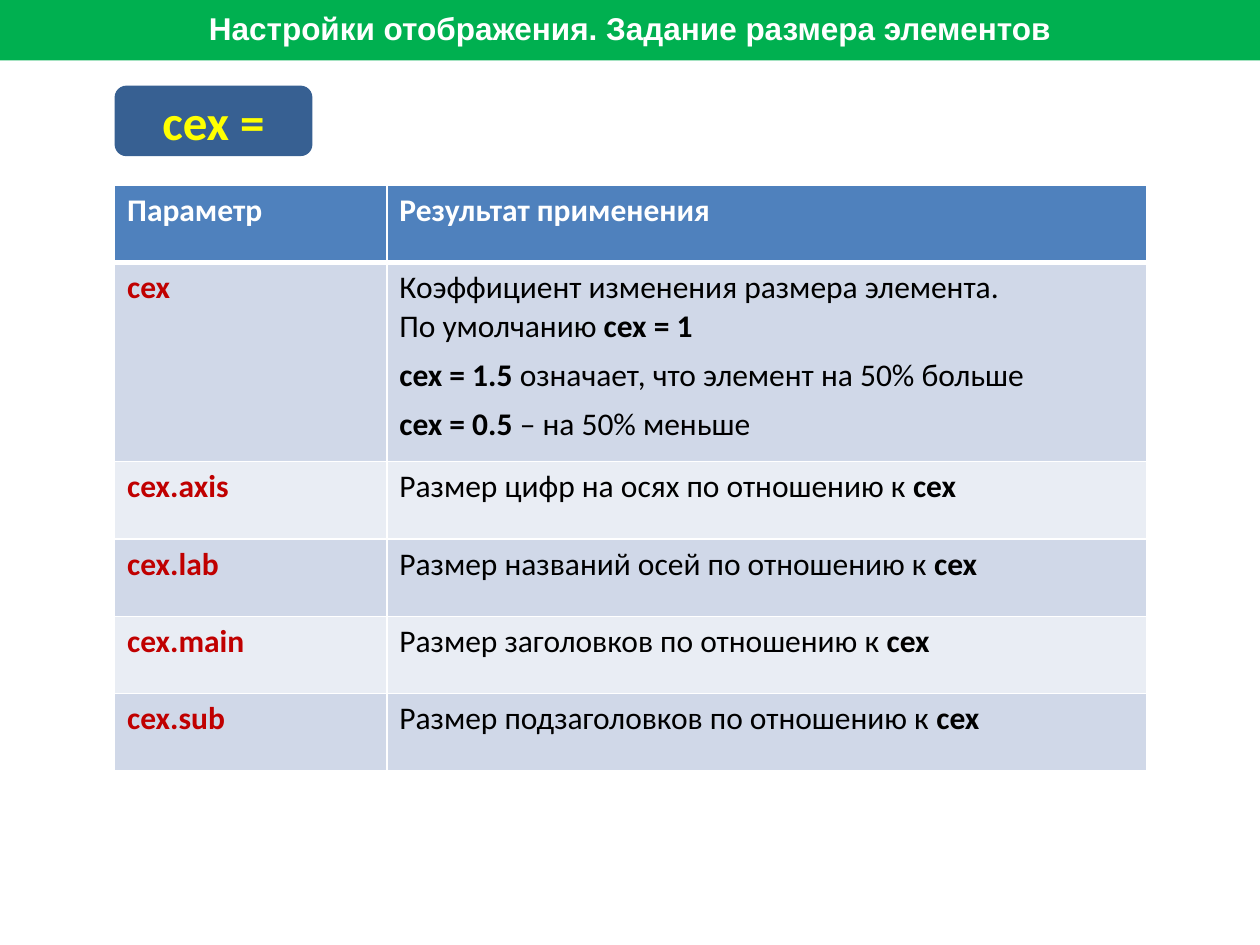
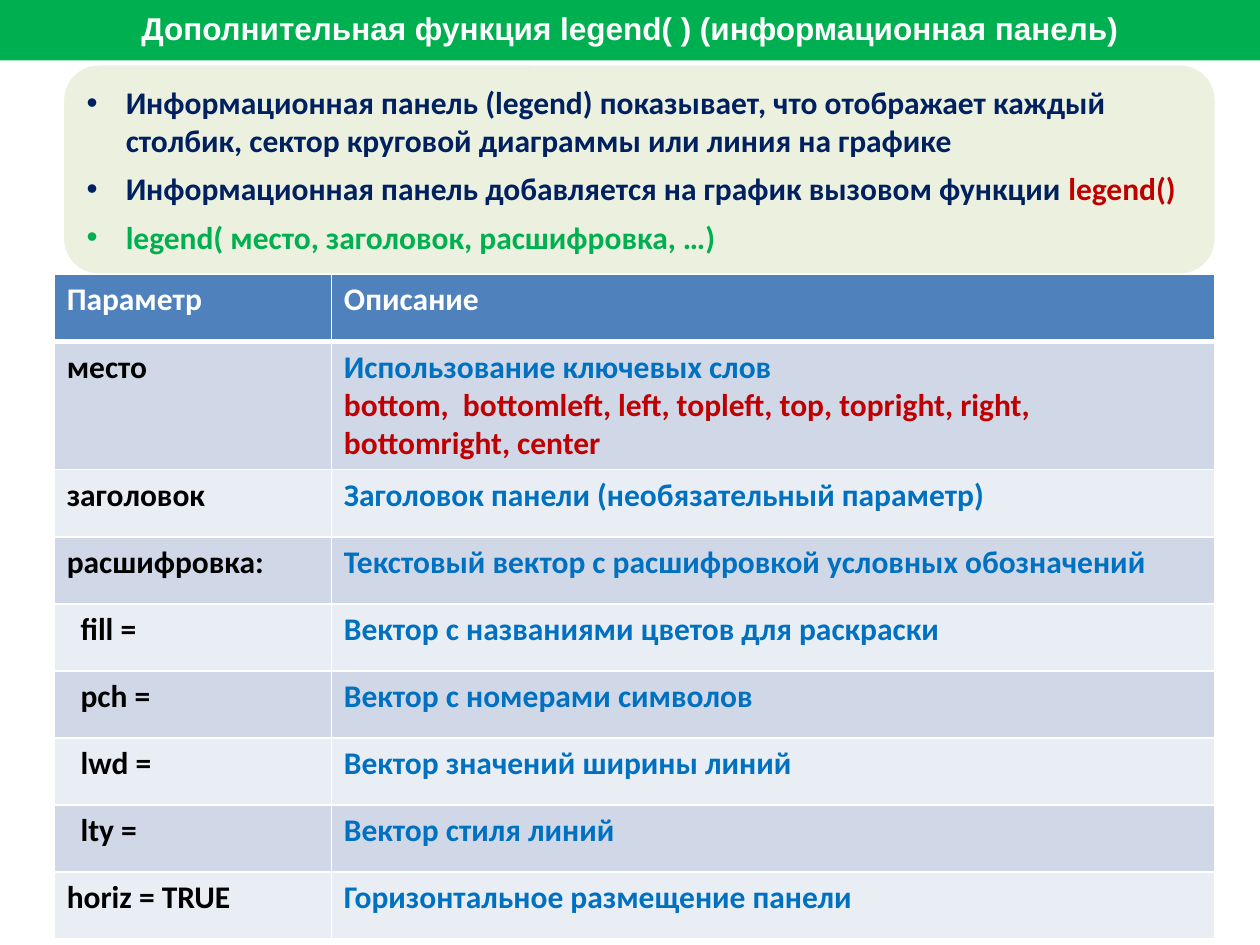
from lxml import etree
from pptx import Presentation
from pptx.dml.color import RGBColor
from pptx.enum.shapes import MSO_SHAPE
from pptx.enum.text import MSO_ANCHOR, PP_ALIGN
from pptx.oxml.ns import qn
from pptx.util import Inches, Pt

RECT, ROUND_RECT = MSO_SHAPE.RECTANGLE, MSO_SHAPE.ROUNDED_RECTANGLE
MIDDLE, CENTER, LEFT = MSO_ANCHOR.MIDDLE, PP_ALIGN.CENTER, PP_ALIGN.LEFT

WHITE = RGBColor(0xFF, 0xFF, 0xFF)
BLACK = RGBColor(0x00, 0x00, 0x00)
GREEN = RGBColor(0x00, 0xB0, 0x50)
RED = RGBColor(0xC0, 0x00, 0x00)
BLUE = RGBColor(0x00, 0x70, 0xC0)
NAVY = RGBColor(0x00, 0x20, 0x60)
YELLOW = RGBColor(0xFF, 0xFF, 0x00)
BADGE_BLUE = RGBColor(0x37, 0x60, 0x92)
PALE_GREEN = RGBColor(0xEB, 0xF1, 0xDE)
HEADER_BLUE = RGBColor(0x4F, 0x81, 0xBD)
BANDS = RGBColor(0xD0, 0xD8, 0xE8), RGBColor(0xE9, 0xED, 0xF4)

TITLE_FONT, BODY_FONT = "Arial", "Calibri"
CELL_MARGIN, SUB_INDENT = 0.1, 0.11


# Text: a paragraph is a list of (text, colour, bold) runs
def bold(text, color=BLACK):
    return text, color, True


def plain(text):
    return text, BLACK, False


def write(tf, paragraphs, size=18, font=BODY_FONT, align=LEFT, before=0):
    for i, runs in enumerate(paragraphs):
        p = tf.paragraphs[0] if i == 0 else tf.add_paragraph()
        p.alignment = align
        p.space_before = Pt(before)
        p.font.size, p.font.name = Pt(size), font
        for text, color, is_bold in runs:
            for n, line in enumerate(text.split("\n")):
                if n:
                    p.add_line_break()
                r = p.add_run()
                r.text = line
                r.font.size, r.font.name = Pt(size), font
                r.font.bold = is_bold
                r.font.color.rgb = color


def add_bullets(tf, indent=0.31):
    for p in tf.paragraphs:
        pPr = p._p.get_or_add_pPr()
        pPr.set("marL", str(Inches(indent)))
        pPr.set("indent", str(-Inches(indent)))
        bullet_font = etree.Element(qn("a:buFont"), typeface="Arial")
        bullet = etree.Element(qn("a:buChar"), char="•")
        defaults = pPr.find(qn("a:defRPr"))
        defaults.addprevious(bullet_font)
        defaults.addprevious(bullet)


# Filled shapes
def add_panel(slide, kind, box, fill, paragraphs, **style):
    sp = slide.shapes.add_shape(kind, *map(Inches, box))
    sp.shadow.inherit = False
    sp.fill.solid()
    sp.fill.fore_color.rgb = fill
    sp.line.fill.background()
    tf = sp.text_frame
    tf.word_wrap = True
    tf.vertical_anchor = MIDDLE
    write(tf, paragraphs, **style)
    return tf


def add_titled_slide(prs, title):
    slide = prs.slides.add_slide(prs.slide_layouts[6])
    add_panel(slide, RECT, (0, -0.03, 10, 0.51), GREEN,
              [[bold(title, WHITE)]], font=TITLE_FONT, align=CENTER)
    return slide


# Tables
def set_borders(cell, top, bottom):
    tcPr = cell._tc.get_or_add_tcPr()
    for side, width in (("L", 1), ("R", 1), ("T", top), ("B", bottom)):
        ln = etree.SubElement(tcPr, qn(f"a:ln{side}"), w=str(Pt(width)))
        fill = etree.SubElement(ln, qn("a:solidFill"))
        etree.SubElement(fill, qn("a:srgbClr"), val=str(WHITE))


def add_parameter_table(slide, box, col_widths, tall_row, headers, rows, before=0):
    """Row 1 is tall_row high; the other rows share the rest of the height."""
    count = len(rows) + 1
    table = slide.shapes.add_table(count, 2, *map(Inches, box)).table
    for col, width in zip(table.columns, col_widths):
        col.width = Inches(width)
    row_height = (box[3] - tall_row) / (count - 1)
    all_rows = [[[[bold(h, WHITE)]] for h in headers]] + rows
    for i, contents in enumerate(all_rows):
        table.rows[i].height = Inches(tall_row if i == 1 else row_height)
        for j, paragraphs in enumerate(contents):
            cell = table.cell(i, j)
            set_borders(cell, 3 if i == 1 else 1, 3 if i == 0 else 1)
            cell.fill.solid()
            cell.fill.fore_color.rgb = BANDS[(i - 1) % 2] if i else HEADER_BLUE
            write(cell.text_frame, paragraphs, before=before)
    return table


# Slides
def build_size_slide(prs):
    slide = add_titled_slide(prs, "Настройки отображения. Задание размера элементов")
    scaled = [
        ("cex.axis", "цифр на осях"),
        ("cex.lab", "названий осей"),
        ("cex.main", "заголовков"),
        ("cex.sub", "подзаголовков"),
    ]
    cex_effect = [
        [plain("Коэффициент изменения размера элемента.\nПо умолчанию "), bold("cex = 1")],
        [bold("cex = 1.5"), plain(" означает, что элемент на 50% больше")],
        [bold("cex = 0.5"), plain(" – на 50% меньше")],
    ]
    rows = [[[[bold("cex", RED)]], cex_effect]]
    rows += [[[[bold(name, RED)]],
              [[plain(f"Размер {what} по отношению к "), bold("cex")]]]
             for name, what in scaled]
    add_parameter_table(slide, (0.91, 1.47, 8.19, 4.65), (2.16, 6.03), 1.58,
                        ("Параметр", "Результат применения"), rows, before=6)
    add_panel(slide, ROUND_RECT, (0.91, 0.68, 1.57, 0.56), BADGE_BLUE,
              [[bold("cex =", YELLOW)]], size=28, align=CENTER)


def build_legend_slide(prs):
    slide = add_titled_slide(
        prs, "Дополнительная функция legend( ) (информационная панель)")
    details = [
        ("заголовок", "Заголовок панели (необязательный параметр)"),
        ("расшифровка:", "Текстовый вектор с расшифровкой условных обозначений"),
        ("fill =", "Вектор с названиями цветов для раскраски"),
        ("pch =", "Вектор с номерами символов"),
        ("lwd =", "Вектор значений ширины линий"),
        ("lty =", "Вектор стиля линий"),
        ("horiz = TRUE", "Горизонтальное размещение панели"),
    ]
    places = [
        [bold("Использование ключевых слов", BLUE)],
        [bold("bottom,  bottomleft, left, topleft, top, topright, right, "
              "bottomright, center", RED)],
    ]
    rows = [[[[bold("место")]], places]]
    rows += [[[[bold(name)]], [[bold(text, BLUE)]]] for name, text in details]
    table = add_parameter_table(slide, (0.43, 2.18, 9.21, 5.27), (2.2, 7.01), 1.01,
                                ("Параметр", "Описание"), rows)
    # Arguments that belong to the key are indented
    for row in table.rows:
        if row.cells[0].text.endswith(" ="):
            row.cells[0].margin_left = Inches(CELL_MARGIN + SUB_INDENT)

    intro = [
        [bold("Информационная панель (legend) показывает, что отображает каждый "
              "столбик, сектор круговой диаграммы или линия на графике", NAVY)],
        [bold("Информационная панель добавляется на график вызовом функции ", NAVY),
         bold("legend()", RED)],
        [bold("legend( место, заголовок, расшифровка, …)", GREEN)],
    ]
    add_bullets(add_panel(slide, ROUND_RECT, (0.51, 0.52, 9.13, 1.65),
                          PALE_GREEN, intro, before=6))


def main():
    prs = Presentation()
    prs.slide_width, prs.slide_height = Inches(10), Inches(7.5)
    build_size_slide(prs)
    build_legend_slide(prs)
    prs.save("out.pptx")


if __name__ == "__main__":
    main()
